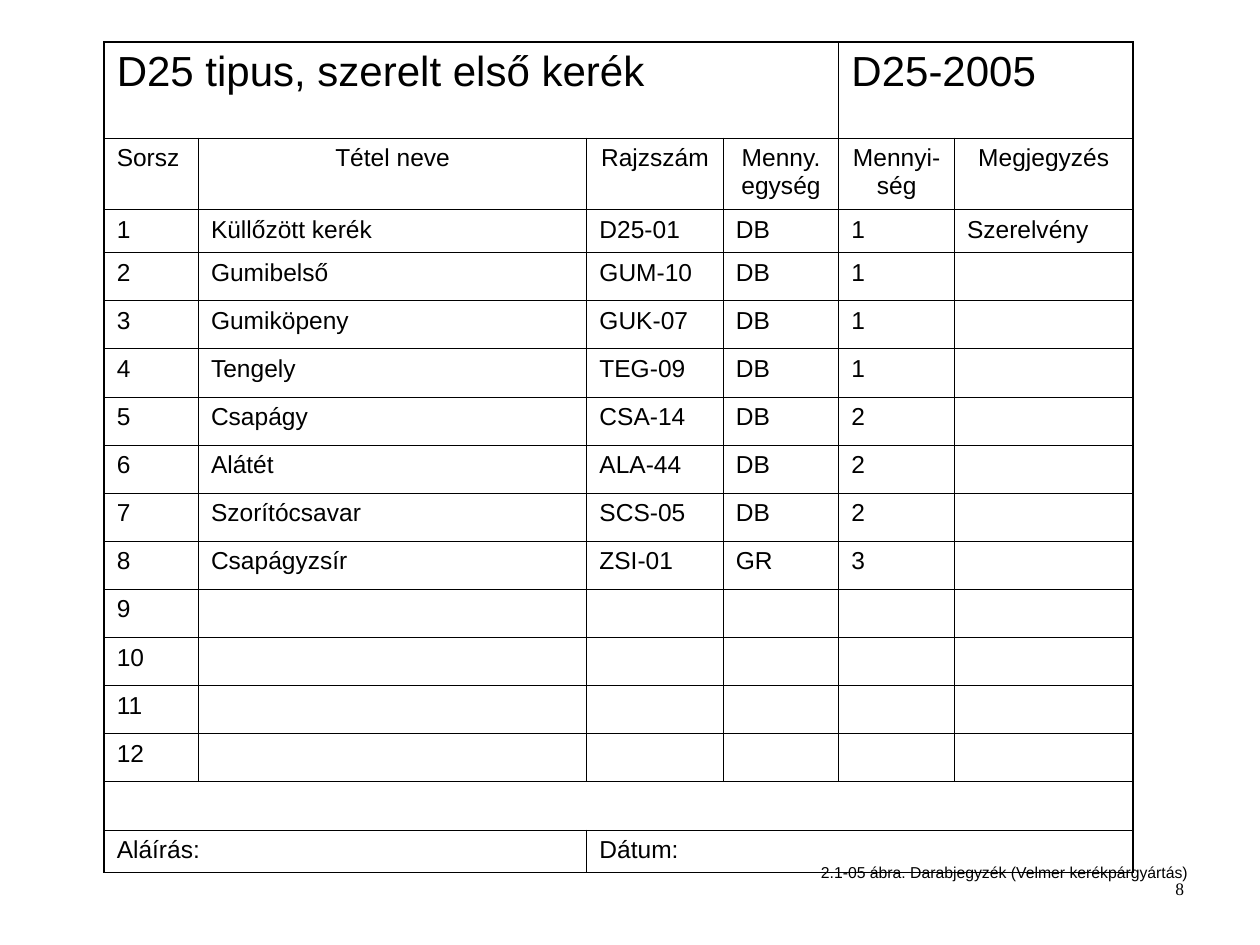
from dataclasses import dataclass

from lxml.etree import SubElement
from pptx import Presentation
from pptx.dml.color import RGBColor
from pptx.enum.text import PP_ALIGN as Align
from pptx.oxml.ns import qn
from pptx.util import Cm, Pt


@dataclass(frozen=True)
class Theme:
    ink: str = "000000"
    sans: str = "Arial"
    serif: str = "Times New Roman"
    title: int = 24
    body: int = 14
    caption: int = 9
    number: int = 10
    thin: float = 0.45
    thick: float = 1.08


theme = Theme()


def write(frame, text, size=theme.body, font=theme.sans, align=Align.LEFT, spacing=None):
    frame.word_wrap = True
    para = frame.paragraphs[0]
    para.alignment = align
    para.line_spacing = spacing
    para.font.size = Pt(size)
    if text:
        span = para.add_run()
        span.text = text
        span.font.size = Pt(size)
        span.font.name = font
        span.font.color.rgb = RGBColor.from_string(theme.ink)
    else:
        SubElement(para._p, qn("a:endParaRPr"), sz=str(size * 100))


def draw_border(cell, side, width):
    line = SubElement(cell._tc.get_or_add_tcPr(), qn(f"a:ln{side}"), w=str(Pt(width)))
    fill = SubElement(line, qn("a:solidFill"))
    SubElement(fill, qn("a:srgbClr"), val=theme.ink)


deck = Presentation()
deck.slide_width, deck.slide_height = Cm(25.4), Cm(19.05)
page = deck.slides.add_slide(deck.slide_layouts[6])

caption = page.shapes.add_textbox(Cm(16.3), Cm(17.35), Cm(8.06), Cm(0.64))
write(caption.text_frame, "2.1-05 ábra. Darabjegyzék (Velmer kerékpárgyártás)",
      size=theme.caption, spacing=0.8)

parts = [
    ("Küllőzött kerék", "D25-01", "DB", "1", "Szerelvény"),
    ("Gumibelső", "GUM-10", "DB", "1"),
    ("Gumiköpeny", "GUK-07", "DB", "1"),
    ("Tengely", "TEG-09", "DB", "1"),
    ("Csapágy", "CSA-14", "DB", "2"),
    ("Alátét", "ALA-44", "DB", "2"),
    ("Szorítócsavar", "SCS-05", "DB", "2"),
    ("Csapágyzsír", "ZSI-01", "GR", "3"),
    (), (), (), (),
]
headings = ("Sorsz", "Tétel neve", "Rajzszám", "Menny. egység", "Mennyi-ség", "Megjegyzés")
rows = [
    {0: "D25 tipus, szerelt első kerék", 4: "D25-2005"},
    dict(enumerate(headings)),
    *[dict(enumerate((str(number), *part))) for number, part in enumerate(parts, 1)],
    {},
    {0: "Aláírás:", 2: "Dátum:"},
]
widths = [1.9, 7.83, 2.75, 2.33, 2.33, 3.6]
heights = [1.93, 1.45, 0.86] + [0.97] * 12 + [0.86]
last_row, last_column = len(heights) - 1, len(widths) - 1
merges = [(0, 0, 3), (0, 4, 5), (last_row - 1, 0, 5), (last_row, 0, 1), (last_row, 2, 5)]

frame = page.shapes.add_table(len(heights), len(widths), Cm(2.1), Cm(0.85),
                              Cm(sum(widths)), Cm(sum(heights)))
table = frame.table
table.first_row = table.horz_banding = False
for column, width in zip(table.columns, widths):
    column.width = Cm(width)
for row, height in zip(table.rows, heights):
    row.height = Cm(height)
for row, first, last in merges:
    table.cell(row, first).merge(table.cell(row, last))

for row, texts in enumerate(rows):
    for column in range(len(widths)):
        cell = table.cell(row, column)
        end = column + cell.span_width - 1 if cell.is_merge_origin else column
        outer = {"L": column == 0, "R": end == last_column,
                 "T": row == 0, "B": row == last_row}
        if not cell.is_spanned:
            for side, is_outer in outer.items():
                draw_border(cell, side, theme.thick if is_outer else theme.thin)
        cell.fill.background()
        write(cell.text_frame, texts.get(column, ""),
              size=theme.title if row == 0 else theme.body,
              align=Align.CENTER if row == 1 and column else Align.LEFT)

page_number = page.shapes.add_textbox(Cm(18.2), Cm(17.58), Cm(5.92), Cm(1.27))
write(page_number.text_frame, "8", size=theme.number, font=theme.serif, align=Align.RIGHT)

deck.save("out.pptx")
